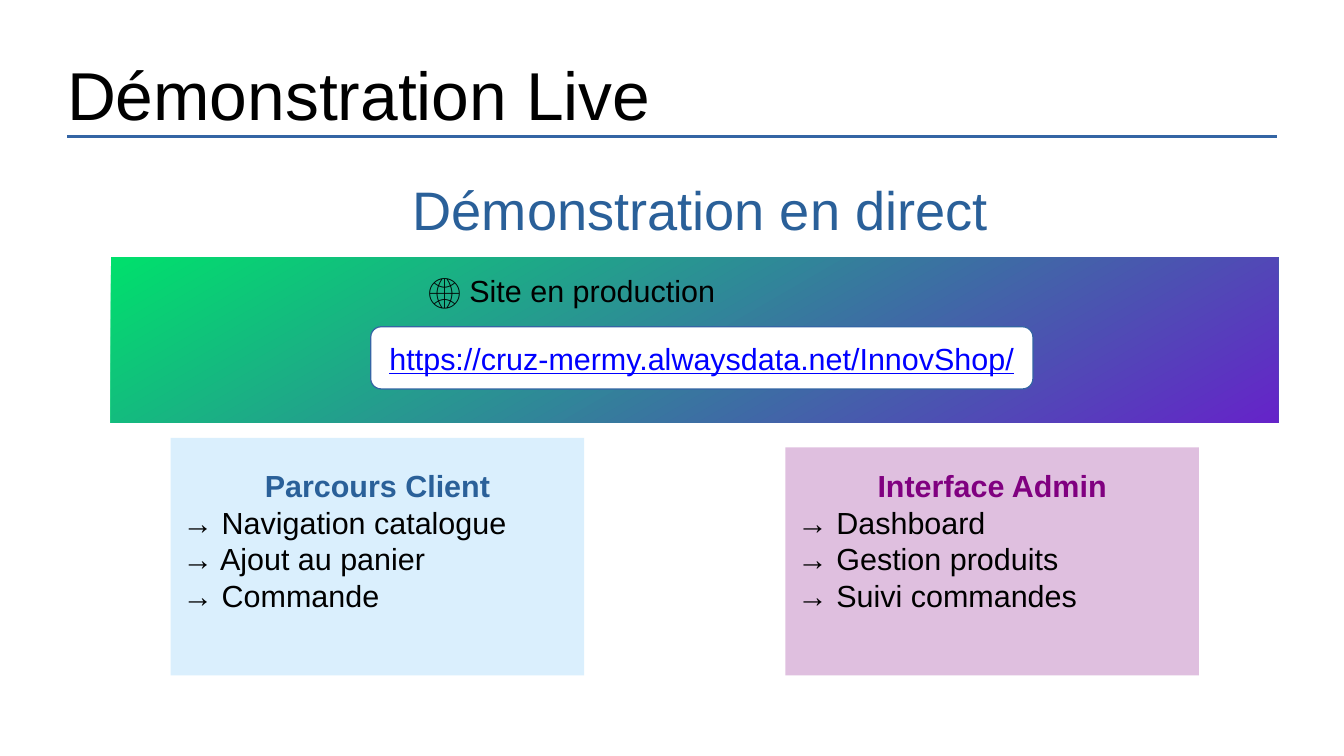
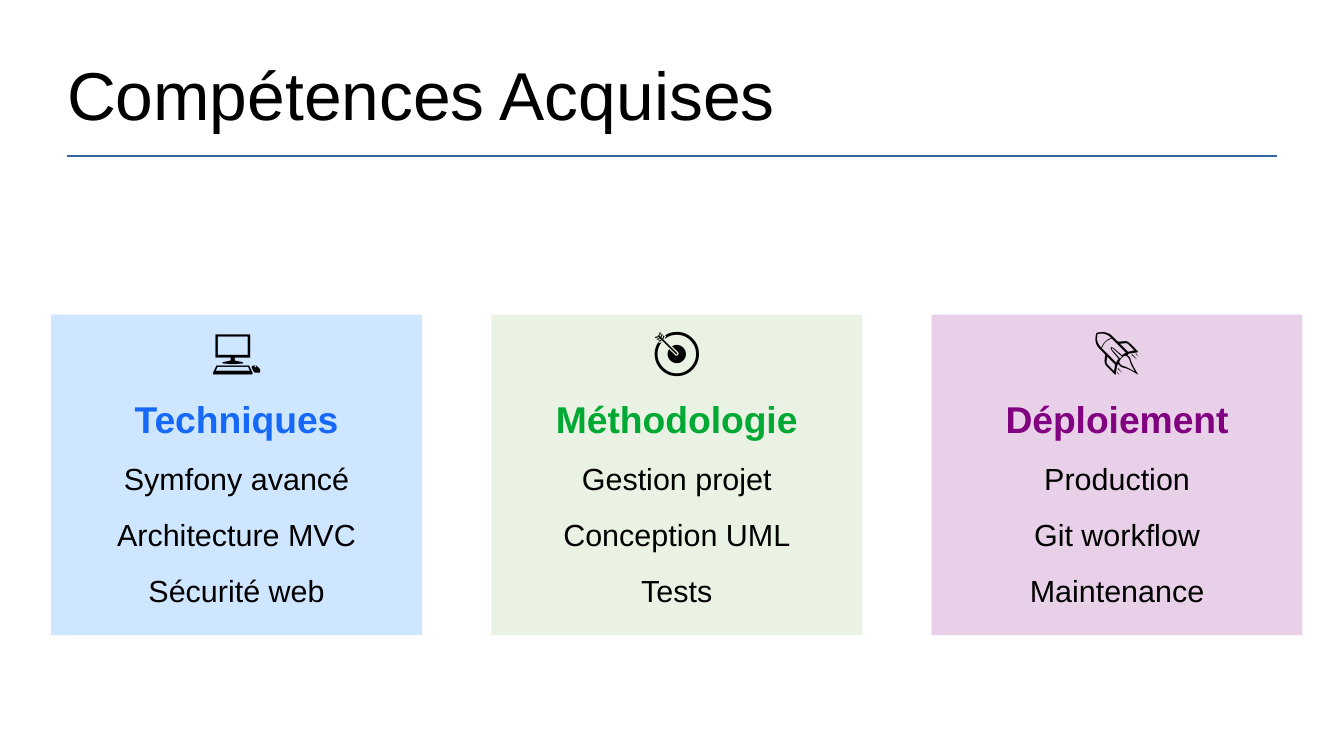
from dataclasses import dataclass

from lxml.etree import SubElement
from pptx import Presentation
from pptx.dml.color import RGBColor
from pptx.enum.shapes import MSO_CONNECTOR, MSO_SHAPE
from pptx.enum.text import MSO_ANCHOR, PP_ALIGN
from pptx.oxml.ns import qn
from pptx.util import Inches, Pt


@dataclass(frozen=True)
class Theme:
    font: str = "Arial"
    # Colours
    ink: str = "000000"
    white: str = "FFFFFF"
    rule: str = "3465A4"
    heading: str = "2A6099"
    link: str = "0000FF"
    purple: str = "800080"
    sky: str = "62BBF7"
    blue: str = "449FFF"
    bright_blue: str = "1668F8"
    sage: str = "AFD095"
    green: str = "00A933"
    banner_start: str = "00E06C"
    banner_end: str = "6523C9"
    # Type sizes in points
    title: int = 40
    subtitle: int = 32
    icon: int = 28
    card_heading: int = 22
    body: int = 18
    # Shared margins in inches
    left: float = 0.55
    width: float = 9.92


THEME = Theme()
NO_INSETS = (0, 0, 0, 0)
INSETS = (0.1, 0.05, 0.1, 0.05)


def rgb(value):
    return RGBColor.from_string(value)


def setup_frame(shape, insets=INSETS, anchor=MSO_ANCHOR.TOP):
    frame = shape.text_frame
    frame.word_wrap = True
    frame.vertical_anchor = anchor
    (frame.margin_left, frame.margin_top,
     frame.margin_right, frame.margin_bottom) = map(Inches, insets)
    return frame


def write(frame, text, size=THEME.body, color=THEME.ink, bold=False,
          underline=False, align=PP_ALIGN.LEFT, before=0):
    """Fill the first paragraph of the frame, or add one after it."""
    first = frame.paragraphs[0]
    paragraph = frame.add_paragraph() if first.runs else first
    paragraph.alignment = align
    if paragraph is not first:
        paragraph.space_before = Pt(before)
    run = paragraph.add_run()
    run.text = text
    font = run.font
    font.name, font.size, font.bold = THEME.font, Pt(size), bold
    font.underline = underline
    font.color.rgb = rgb(color)


def add_label(slide, box, text, anchor=MSO_ANCHOR.TOP, **text_format):
    label = slide.shapes.add_textbox(*map(Inches, box))
    write(setup_frame(label, NO_INSETS, anchor), text, **text_format)


def add_panel(slide, box, fill=None, opacity=100, kind=MSO_SHAPE.RECTANGLE):
    panel = slide.shapes.add_shape(kind, *map(Inches, box))
    panel.shadow.inherit = False
    panel.line.fill.background()
    if fill:
        panel.fill.solid()
        panel.fill.fore_color.rgb = rgb(fill)
    if opacity < 100:
        color = panel.fill._xPr.find(qn("a:solidFill"))[0]
        SubElement(color, qn("a:alpha"), val=str(opacity * 1000))
    return panel


def add_header(slide, title, rule_y):
    """Slide title with the rule below it."""
    add_label(slide, (THEME.left, 0.25, THEME.width, 1.04), title,
              anchor=MSO_ANCHOR.MIDDLE, size=THEME.title)
    rule = slide.shapes.add_connector(
        MSO_CONNECTOR.STRAIGHT, Inches(THEME.left), Inches(rule_y),
        Inches(THEME.left + THEME.width), Inches(rule_y))
    rule.line.color.rgb = rgb(THEME.rule)
    rule.line.width = Pt(1.5)
    SubElement(rule._element.spPr, qn("a:effectLst"))


def add_site_banner(slide, box, caption, address):
    """Gradient band with a caption and a rounded address field."""
    left, top, _, _ = box
    banner = add_panel(slide, box)
    banner.fill.gradient()
    banner.fill.gradient_angle = 300
    colors = (THEME.banner_start, THEME.banner_end)
    for stop, color in zip(banner.fill.gradient_stops, colors):
        stop.color.rgb = rgb(color)
    write(setup_frame(banner, (2.6, 0.12, 0.12, 0.12)), caption)

    field = add_panel(slide, (left + 2.13, top + 0.57, 5.43, 0.51),
                      THEME.white, kind=MSO_SHAPE.ROUNDED_RECTANGLE)
    field.line.color.rgb = rgb(THEME.rule)
    field.line.width = Pt(0)
    write(setup_frame(field, anchor=MSO_ANCHOR.MIDDLE), address,
          color=THEME.link, underline=True, align=PP_ALIGN.CENTER)


def add_journey_card(slide, box, text_top, heading, steps, color, fill, opacity):
    """Centred heading over a list of arrowed steps."""
    card = add_panel(slide, box, fill, opacity)
    frame = setup_frame(card, (0.1, text_top - box[1], 0.1, 0.05))
    write(frame, heading, color=color, bold=True, align=PP_ALIGN.CENTER)
    for step in steps:
        write(frame, f"→ {step}")


def add_skill_card(slide, box, icon, heading, skills, color, fill, opacity):
    """Icon, heading and skills, all centred."""
    frame = setup_frame(add_panel(slide, box, fill, opacity))
    spaced = {"align": PP_ALIGN.CENTER, "before": 11.3}
    write(frame, icon, size=THEME.icon, **spaced)
    write(frame, heading, size=THEME.card_heading, color=color, bold=True, **spaced)
    for skill in skills:
        write(frame, skill, **spaced)


def build_demo(slide):
    add_header(slide, "Démonstration Live", 1.12)
    add_label(slide, (1.02, 1.45, 9.45, 0.6), "Démonstration en direct",
              size=THEME.subtitle, color=THEME.heading, align=PP_ALIGN.CENTER)
    add_site_banner(slide, (0.91, 2.11, 9.57, 1.36), "🌐 Site en production",
                    "https://cruz-mermy.alwaysdata.net/InnovShop/")
    # Cards end on one line and their text starts on one line
    bottom, text_top = 5.54, 3.83
    journeys = [
        (1.4, 3.59, "Parcours Client",
         ("Navigation catalogue", "Ajout au panier", "Commande"),
         THEME.heading, THEME.sky, 23),
        (6.44, 3.67, "Interface Admin",
         ("Dashboard", "Gestion produits", "Suivi commandes"),
         THEME.purple, THEME.purple, 25),
    ]
    for left, top, *content in journeys:
        add_journey_card(slide, (left, top, 3.39, bottom - top), text_top, *content)


def build_skills(slide):
    add_header(slide, "Compétences Acquises", 1.28)
    pitch = 3.61
    skill_sets = [
        ("💻", "Techniques", ("Symfony avancé", "Architecture MVC", "Sécurité web"),
         THEME.bright_blue, THEME.blue, 26),
        ("🎯", "Méthodologie", ("Gestion projet", "Conception UML", "Tests"),
         THEME.green, THEME.sage, 26),
        ("🚀", "Déploiement", ("Production", "Git workflow", "Maintenance"),
         THEME.purple, THEME.purple, 18),
    ]
    for column, content in enumerate(skill_sets):
        add_skill_card(slide, (0.42 + column * pitch, 2.58, 3.04, 2.63), *content)


def main():
    deck = Presentation()
    deck.slide_width, deck.slide_height = Inches(11.02), Inches(6.2)
    blank = deck.slide_layouts[6]
    for build in (build_demo, build_skills):
        build(deck.slides.add_slide(blank))
    deck.save("out.pptx")


if __name__ == "__main__":
    main()
